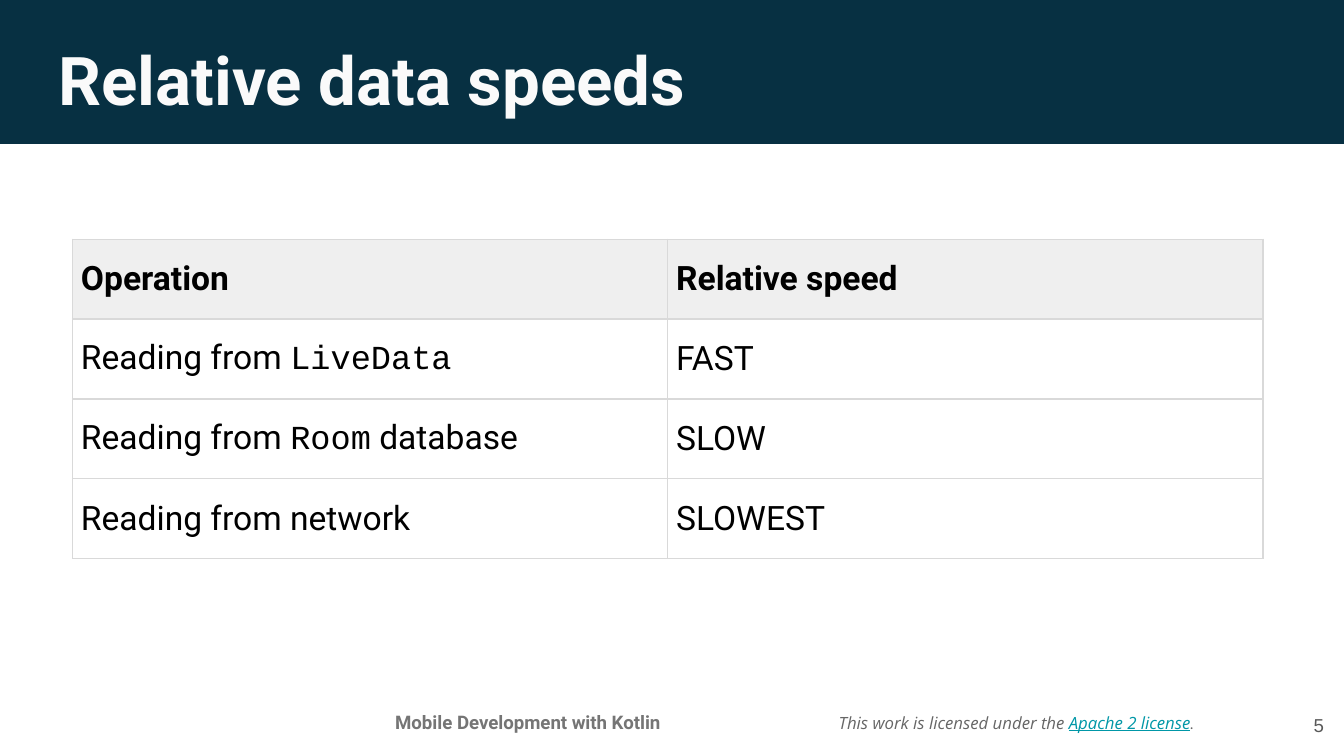
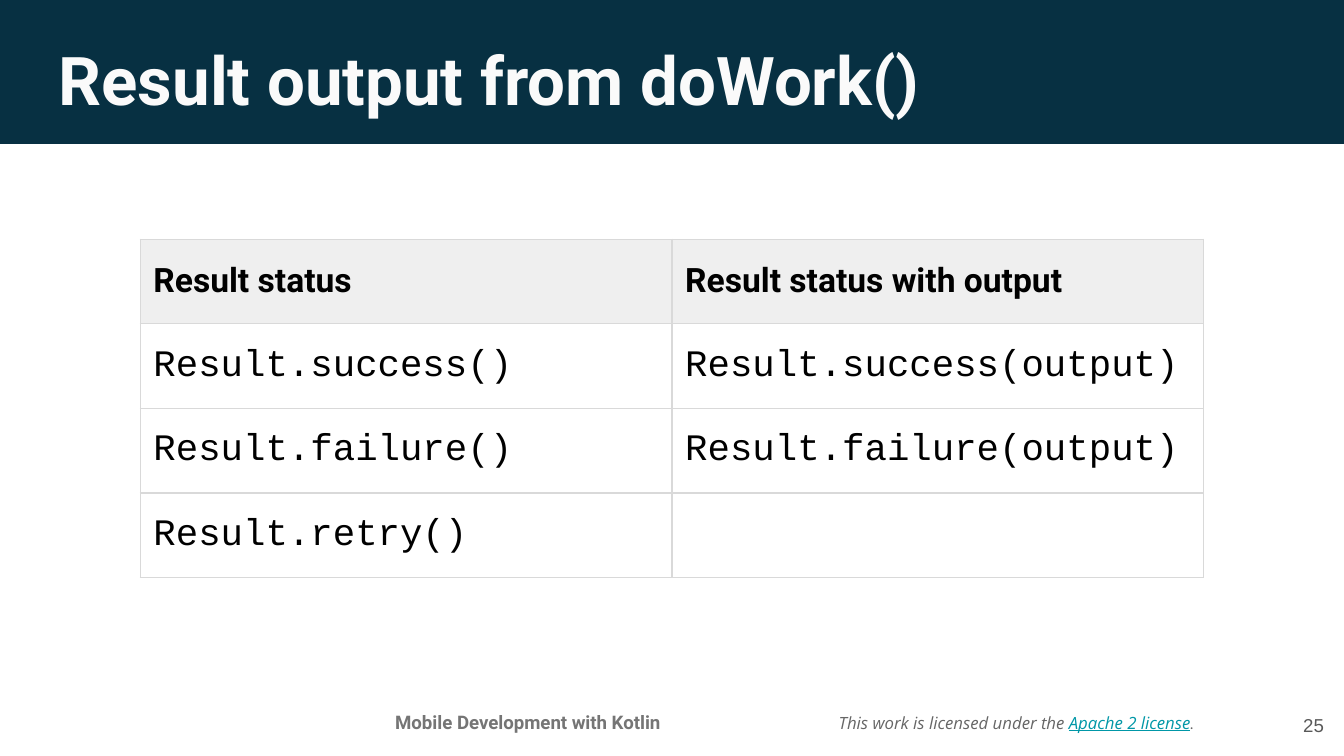
from dataclasses import dataclass

from lxml import etree
from pptx import Presentation
from pptx.dml.color import RGBColor
from pptx.enum.shapes import MSO_SHAPE
from pptx.enum.text import MSO_ANCHOR, PP_ALIGN
from pptx.oxml.ns import qn
from pptx.util import Cm, Pt

# Enum members
RECTANGLE = MSO_SHAPE.RECTANGLE
TOP, MIDDLE = MSO_ANCHOR.TOP, MSO_ANCHOR.MIDDLE
LEFT, CENTER, RIGHT = PP_ALIGN.LEFT, PP_ALIGN.CENTER, PP_ALIGN.RIGHT

# Colours
NAVY = RGBColor(0x07, 0x30, 0x42)
TITLE_WHITE = RGBColor(0xFA, 0xFA, 0xFA)
BLACK = RGBColor(0x00, 0x00, 0x00)
HEADER_GREY = RGBColor(0xEF, 0xEF, 0xEF)
BORDER_GREY = RGBColor(0xD9, 0xD9, 0xD9)
COURSE_GREY = RGBColor(0x75, 0x75, 0x75)
LICENSE_GREY = RGBColor(0x66, 0x66, 0x66)
NUMBER_GREY = RGBColor(0x59, 0x59, 0x59)
LINK_TEAL = RGBColor(0x00, 0x97, 0xA7)

BORDER_WIDTH = Pt(0.75)
BORDER_SIDES = ("a:lnL", "a:lnR", "a:lnT", "a:lnB")
TABLE_TOP = 4.52


@dataclass(frozen=True)
class Style:
    size: float
    name: str = "Roboto"
    color: RGBColor = BLACK
    bold: bool = False
    italic: bool = False
    underline: bool = False


@dataclass(frozen=True)
class Run:
    text: str
    style: Style


@dataclass(frozen=True)
class Box:
    """Position and size in centimetres."""
    left: float
    top: float
    width: float
    height: float
    anchor: MSO_ANCHOR = TOP
    align: PP_ALIGN = LEFT


@dataclass(frozen=True)
class TableSpec:
    left: float
    column_width: float
    row_height: float
    margin: float
    header_space: float
    rows: tuple[tuple[tuple[Run, ...], ...], ...]


@dataclass(frozen=True)
class SlideSpec:
    title: str
    number: int
    table: TableSpec


# Text styles
TITLE = Style(36, color=TITLE_WHITE, bold=True)
COURSE = Style(10, color=COURSE_GREY, bold=True)
NUMBER = Style(10, "Arial", NUMBER_GREY)
HEADER = Style(18, bold=True)
BODY = Style(18)
INLINE_CODE = Style(18, "Courier New")
CODE = Style(20, "Courier New")
LICENSE = (
    Run("This work is licensed under the ", Style(9, "Open Sans", LICENSE_GREY, italic=True)),
    Run("Apache 2 license", Style(9, "Open Sans", LINK_TEAL, italic=True, underline=True)),
    Run(".", Style(9, color=LICENSE_GREY, italic=True)),
)

# Shared places
BAND_BOX = Box(-0.03, -0.1, 25.43, 2.82)
TITLE_BOX = Box(0.86, 0.48, 23.67, 1.6)
LICENSE_BOX = Box(15.6, 13.06, 7.47, 1.19, MIDDLE)
COURSE_BOX = Box(6.38, 13.23, 7.19, 0.81, align=CENTER)
NUMBER_BOX = Box(23.75, 13.16, 1.52, 1.09, MIDDLE, RIGHT)


def cell(text: str, style: Style) -> tuple[Run, ...]:
    return (Run(text, style),)


SLIDES = (
    SlideSpec("Relative data speeds", 5, TableSpec(1.37, 11.25, 1.51, 0.16, 6, (
        (cell("Operation", HEADER), cell("Relative speed", HEADER)),
        ((Run("Reading from ", BODY), Run("LiveData", INLINE_CODE)), cell("FAST", BODY)),
        ((Run("Reading from ", BODY), Run("Room", INLINE_CODE), Run(" database", BODY)),
         cell("SLOW", BODY)),
        (cell("Reading from network", BODY), cell("SLOWEST", BODY)),
    ))),
    SlideSpec("Result output from doWork()", 25, TableSpec(2.65, 10.05, 1.6, 0.25, 0, (
        (cell("Result status", HEADER), cell("Result status with output", HEADER)),
        (cell("Result.success()", CODE), cell("Result.success(output)", CODE)),
        (cell("Result.failure()", CODE), cell("Result.failure(output)", CODE)),
        (cell("Result.retry()", CODE), ()),
    ))),
)


def apply_style(font, style: Style) -> None:
    font.size = Pt(style.size)
    font.name = style.name
    font.color.rgb = style.color
    font.bold = style.bold
    font.italic = style.italic
    font.underline = style.underline


def write_runs(paragraph, runs: tuple[Run, ...]) -> None:
    uniform = len({run.style for run in runs}) == 1
    if uniform:
        apply_style(paragraph.font, runs[0].style)
    for item in runs:
        run = paragraph.add_run()
        run.text = item.text
        if not uniform:
            apply_style(run.font, item.style)


def lengths(box: Box) -> tuple[Cm, Cm, Cm, Cm]:
    return Cm(box.left), Cm(box.top), Cm(box.width), Cm(box.height)


def add_text(slide, box: Box, runs: tuple[Run, ...]) -> None:
    frame = slide.shapes.add_textbox(*lengths(box)).text_frame
    frame.word_wrap = True
    frame.vertical_anchor = box.anchor
    frame.margin_left = frame.margin_right = Cm(0.25)
    frame.margin_top = frame.margin_bottom = Cm(0.25)
    frame.paragraphs[0].alignment = box.align
    write_runs(frame.paragraphs[0], runs)


def add_band(slide) -> None:
    band = slide.shapes.add_shape(RECTANGLE, *lengths(BAND_BOX))
    band.shadow.inherit = False
    band.fill.solid()
    band.fill.fore_color.rgb = NAVY
    band.line.fill.background()


def set_borders(table_cell) -> None:
    # Border lines must precede the fill in the cell properties
    properties = table_cell._tc.get_or_add_tcPr()
    for position, side in enumerate(BORDER_SIDES):
        line = etree.Element(qn(side), w=str(BORDER_WIDTH))
        fill = etree.SubElement(line, qn("a:solidFill"))
        etree.SubElement(fill, qn("a:srgbClr"), val=str(BORDER_GREY))
        properties.insert(position, line)


def add_table(slide, spec: TableSpec) -> None:
    row_count, column_count = len(spec.rows), len(spec.rows[0])
    table = slide.shapes.add_table(
        row_count, column_count, Cm(spec.left), Cm(TABLE_TOP),
        Cm(spec.column_width * column_count), Cm(spec.row_height * row_count),
    ).table
    table.first_row = table.horz_banding = False
    for column in table.columns:
        column.width = Cm(spec.column_width)
    for row_index, row in enumerate(spec.rows):
        table.rows[row_index].height = Cm(spec.row_height)
        for column_index, runs in enumerate(row):
            table_cell = table.cell(row_index, column_index)
            table_cell.vertical_anchor = MIDDLE
            table_cell.margin_left = table_cell.margin_right = Cm(spec.margin)
            table_cell.margin_top = table_cell.margin_bottom = Cm(spec.margin)
            if row_index == 0:
                table_cell.fill.solid()
                table_cell.fill.fore_color.rgb = HEADER_GREY
            else:
                table_cell.fill.background()
            set_borders(table_cell)
            paragraph = table_cell.text_frame.paragraphs[0]
            paragraph.space_after = Pt(6 if row_index else spec.header_space)
            write_runs(paragraph, runs)


def add_slide(presentation, spec: SlideSpec) -> None:
    slide = presentation.slides.add_slide(presentation.slide_layouts[6])
    # Shared frame: footer, title band and page number
    add_text(slide, LICENSE_BOX, LICENSE)
    add_band(slide)
    add_text(slide, COURSE_BOX, cell("Mobile Development with Kotlin", COURSE))
    add_text(slide, TITLE_BOX, cell(spec.title, TITLE))
    add_text(slide, NUMBER_BOX, cell(str(spec.number), NUMBER))
    # Slide content
    add_table(slide, spec.table)


def main() -> None:
    presentation = Presentation()
    presentation.slide_width = Cm(25.4)
    presentation.slide_height = Cm(14.29)
    for spec in SLIDES:
        add_slide(presentation, spec)
    presentation.save("out.pptx")


if __name__ == "__main__":
    main()
